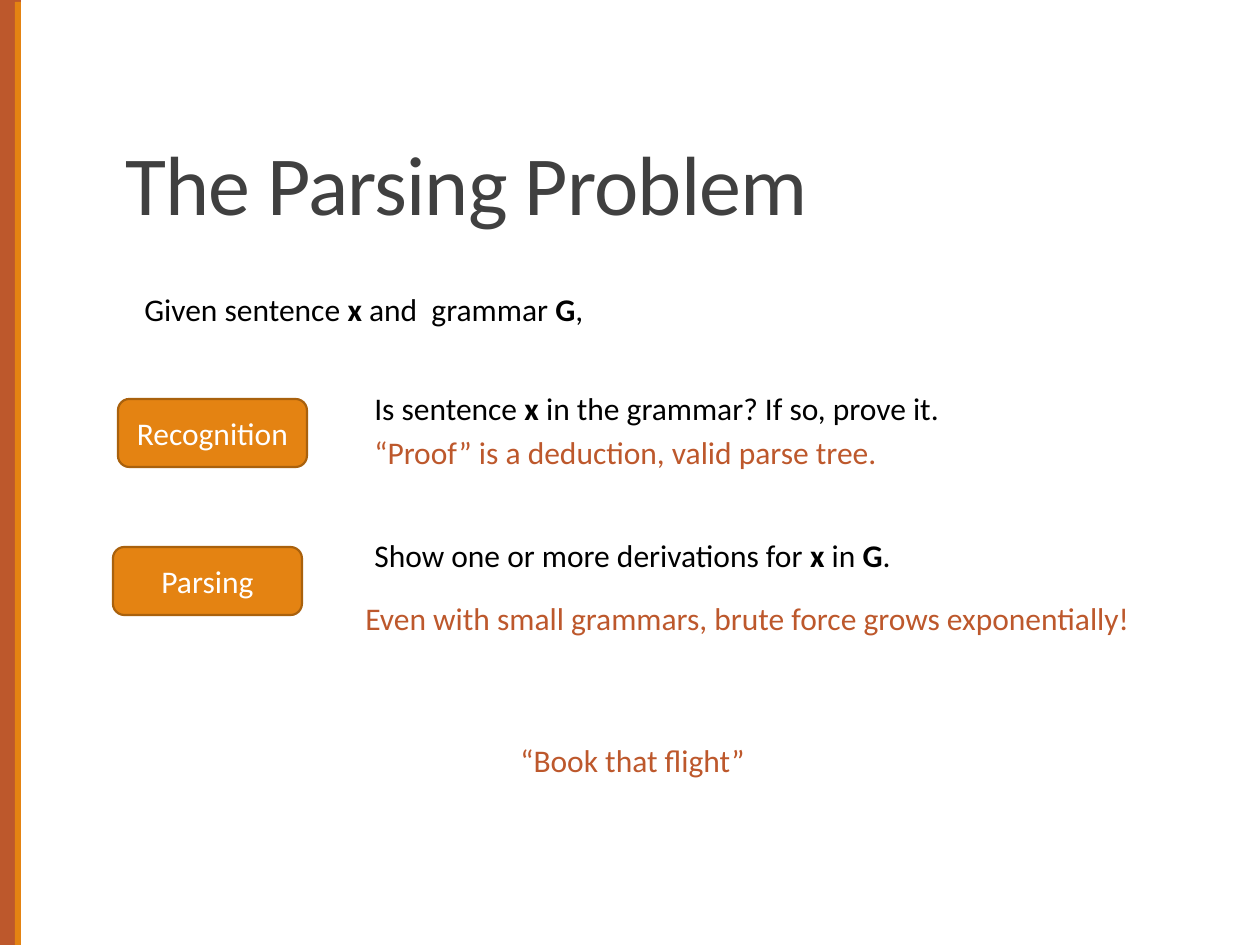
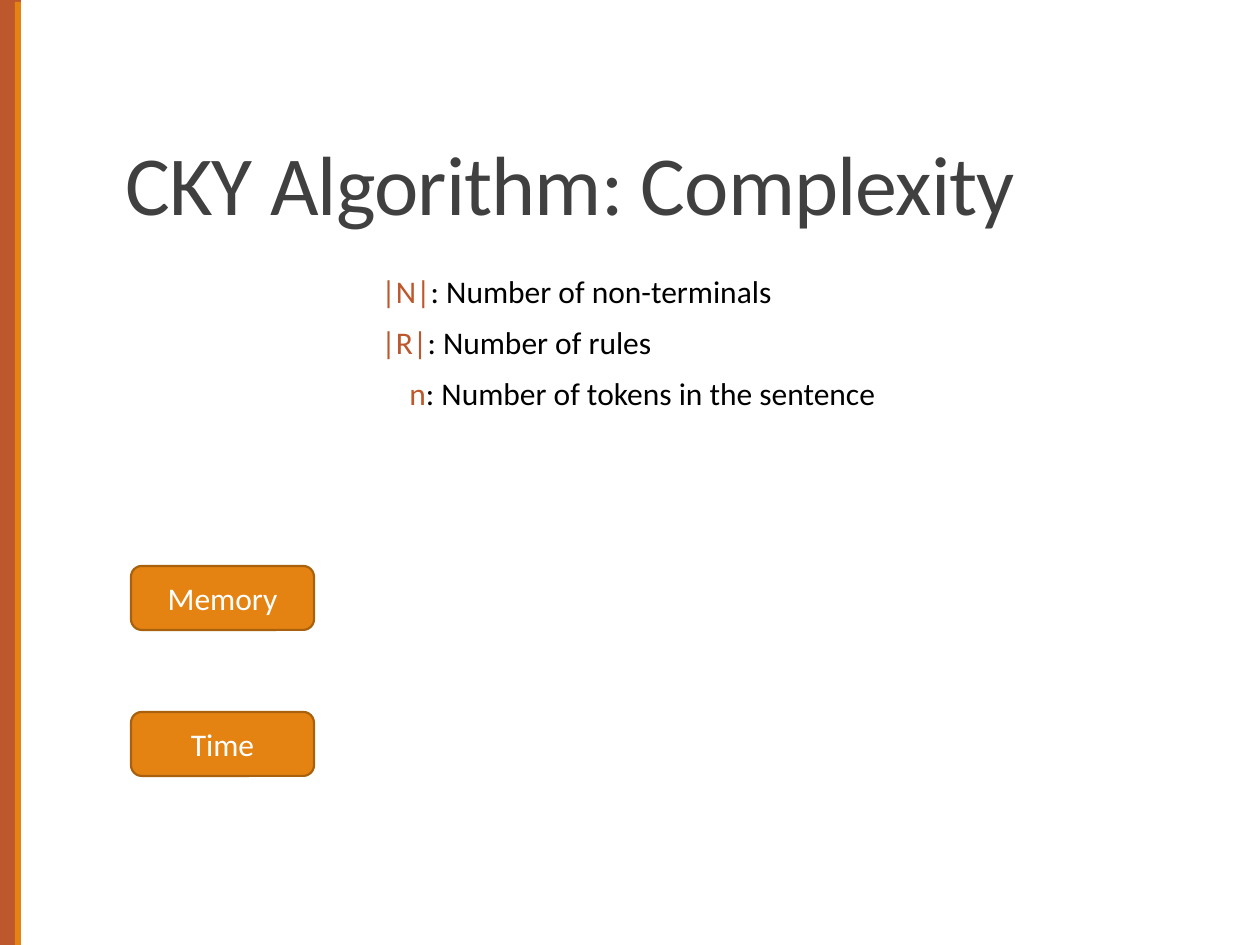
"""Build two slides on the parsing problem and the complexity of CKY."""
from dataclasses import dataclass

import pptx
import pptx.dml.color
import pptx.enum.shapes
import pptx.enum.text
import pptx.util

EMU_PER_PX = 914400 / 126
SLIDE_WIDTH, SLIDE_HEIGHT = 1260, 945
FONT = "Calibri"
RUST, ORANGE, BROWN = "BD582C", "E48312", "A9610D"
BLACK, WHITE, CHARCOAL = "000000", "FFFFFF", "404040"
NOTE_HEIGHT = 50
SYMBOL_TOP, SYMBOL_PITCH = 266, 51


@dataclass(frozen=True)
class Phrase:
    text: str
    color: str = BLACK
    bold: bool = False


@dataclass(frozen=True)
class Note:
    left: int
    top: int
    width: int
    phrases: tuple[Phrase, ...]
    wraps: bool = True


@dataclass(frozen=True)
class Tag:
    text: str
    left: int
    top: int
    width: int
    height: int


@dataclass(frozen=True)
class Band:
    left: int
    top: int
    width: int
    color: str


@dataclass(frozen=True)
class Page:
    title: str
    tags: tuple[Tag, ...]
    notes: tuple[Note, ...]


BANDS = (Band(0, 0, 21, RUST), Band(15, 2, 6, ORANGE))
SENTENCE = Phrase("x", bold=True)
GRAMMAR = Phrase("G", bold=True)
SYMBOLS = (
    ("|N|", "Number of non-terminals", 369, 455),
    ("|R|", "Number of rules", 369, 455),
    ("n", "Number of tokens in the sentence", 397, 571),
)


def px(length: int) -> pptx.util.Emu:
    return pptx.util.Emu(round(length * EMU_PER_PX))


def rgb(color: str) -> pptx.dml.color.RGBColor:
    return pptx.dml.color.RGBColor.from_string(color)


def remark(left: int, top: int, width: int, text: str) -> Note:
    return Note(left, top, width, (Phrase(text, RUST),), wraps=False)


def set_font(font, size: int, color: str) -> None:
    font.name = FONT
    font.size = pptx.util.Pt(size)
    font.color.rgb = rgb(color)


def draw_band(slide, band: Band) -> None:
    stripe = slide.shapes.add_shape(
        pptx.enum.shapes.MSO_SHAPE.RECTANGLE,
        px(band.left), px(band.top), px(band.width), px(SLIDE_HEIGHT - band.top))
    stripe.shadow.inherit = False
    stripe.fill.solid()
    stripe.fill.fore_color.rgb = rgb(band.color)
    stripe.line.fill.background()


def draw_title(slide, text: str) -> None:
    frame = slide.shapes.add_textbox(px(113), px(39), px(1040), px(200)).text_frame
    frame.word_wrap = True
    frame.vertical_anchor = pptx.enum.text.MSO_ANCHOR.BOTTOM
    heading = frame.paragraphs[0]
    heading.line_spacing = 0.85
    set_font(heading.font, 48, CHARCOAL)
    run = heading.add_run()
    run.text = text
    run._r.get_or_add_rPr().set("spc", "-50")


def draw_tag(slide, tag: Tag) -> None:
    button = slide.shapes.add_shape(
        pptx.enum.shapes.MSO_SHAPE.ROUNDED_RECTANGLE,
        px(tag.left), px(tag.top), px(tag.width), px(tag.height))
    button.shadow.inherit = False
    button.fill.solid()
    button.fill.fore_color.rgb = rgb(ORANGE)
    button.line.color.rgb = rgb(BROWN)
    button.line.width = pptx.util.Pt(1.25)
    button.text_frame.vertical_anchor = pptx.enum.text.MSO_ANCHOR.MIDDLE
    caption = button.text_frame.paragraphs[0]
    caption.text = tag.text
    caption.alignment = pptx.enum.text.PP_ALIGN.CENTER
    set_font(caption.font, 18, WHITE)


def draw_note(slide, note: Note) -> None:
    frame = slide.shapes.add_textbox(
        px(note.left), px(note.top), px(note.width), px(NOTE_HEIGHT)).text_frame
    frame.word_wrap = note.wraps
    frame.auto_size = pptx.enum.text.MSO_AUTO_SIZE.SHAPE_TO_FIT_TEXT
    sentence = frame.paragraphs[0]
    base_color = note.phrases[-1].color
    set_font(sentence.font, 18, base_color)
    for phrase in note.phrases:
        run = sentence.add_run()
        run.text = phrase.text
        if phrase.bold:
            run.font.bold = True
        if phrase.color != base_color:
            run.font.color.rgb = rgb(phrase.color)


def draw_page(deck, page: Page) -> None:
    slide = deck.slides.add_slide(deck.slide_layouts[6])
    for band in BANDS:
        draw_band(slide, band)
    draw_title(slide, page.title)
    for tag in page.tags:
        draw_tag(slide, tag)
    for note in page.notes:
        draw_note(slide, note)


PAGES = (
    Page(
        "The Parsing Problem",
        (Tag("Recognition", 118, 399, 189, 68), Tag("Parsing", 113, 547, 189, 68)),
        (
            Note(132, 284, 629, (Phrase("Given sentence "), SENTENCE,
                                 Phrase(" and  grammar "), GRAMMAR, Phrase(","))),
            Note(362, 383, 629, (Phrase("Is sentence "), SENTENCE,
                                 Phrase(" in the grammar? If so, prove it."))),
            remark(362, 427, 534, "“Proof” is a deduction, valid parse tree."),
            Note(362, 530, 629, (Phrase("Show one or more derivations for "), SENTENCE,
                                 Phrase(" in "), GRAMMAR, Phrase("."))),
            remark(353, 593, 791,
                   "Even with small grammars, brute force grows exponentially!"),
            remark(508, 735, 251, "“Book that flight”"),
        ),
    ),
    Page(
        "CKY Algorithm: Complexity",
        (Tag("Memory", 131, 566, 183, 64), Tag("Time", 131, 712, 183, 64)),
        tuple(
            Note(left, SYMBOL_TOP + row * SYMBOL_PITCH, width,
                 (Phrase(symbol, RUST), Phrase(f": {meaning}")))
            for row, (symbol, meaning, left, width) in enumerate(SYMBOLS)
        ),
    ),
)


def main() -> None:
    deck = pptx.Presentation()
    deck.slide_width, deck.slide_height = px(SLIDE_WIDTH), px(SLIDE_HEIGHT)
    for page in PAGES:
        draw_page(deck, page)
    deck.save("out.pptx")


if __name__ == "__main__":
    main()
